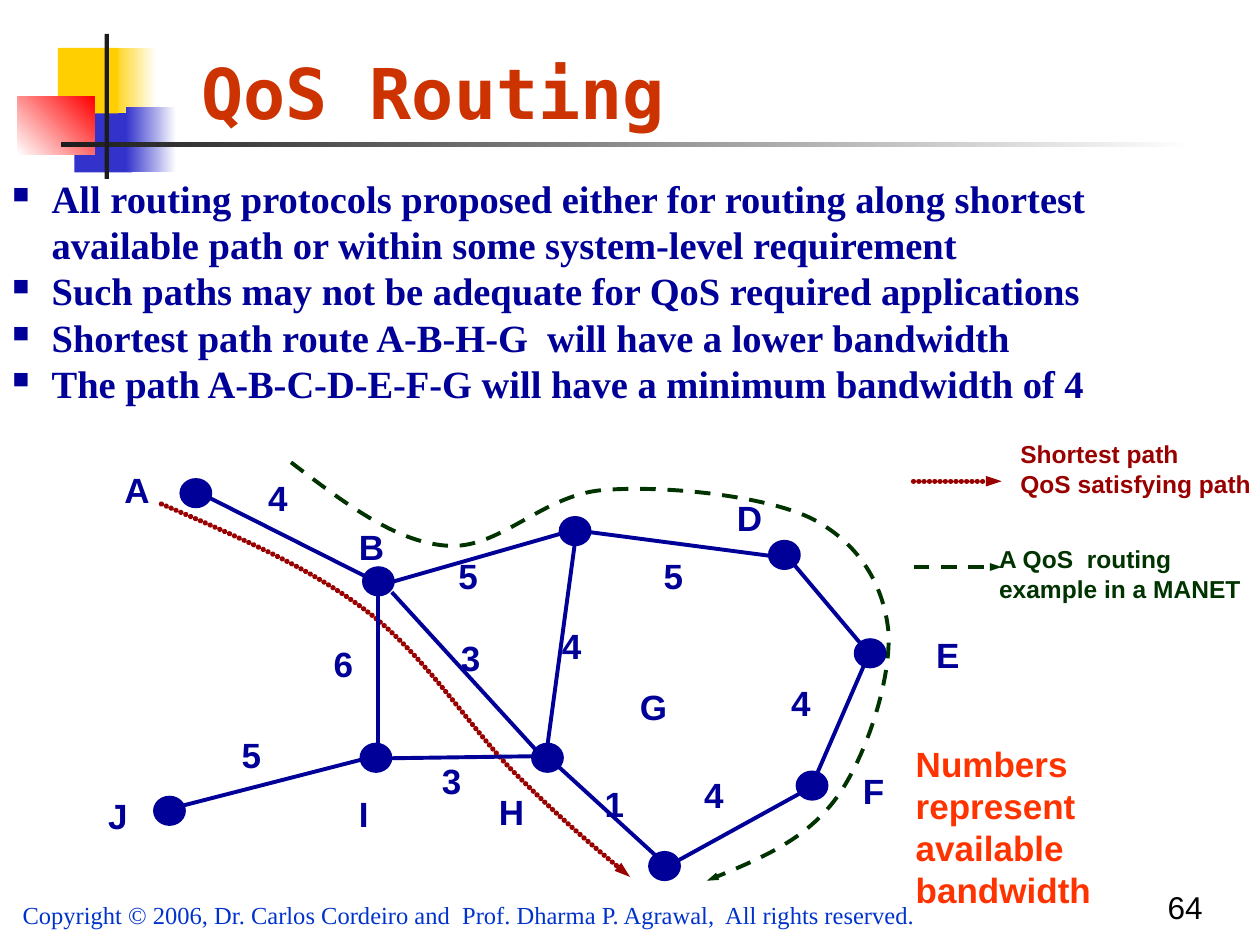
from dataclasses import dataclass
from typing import NamedTuple

from pptx import Presentation
from pptx.dml.color import RGBColor
from pptx.enum.dml import MSO_LINE
from pptx.enum.shapes import MSO_CONNECTOR, MSO_SHAPE
from pptx.oxml import parse_xml
from pptx.oxml.ns import nsdecls, qn
from pptx.oxml.xmlchemy import OxmlElement
from pptx.util import Pt

NAVY = RGBColor(0x00, 0x00, 0x99)
BLUE = RGBColor(0x33, 0x33, 0xCC)
FOOTER_BLUE = RGBColor(0x00, 0x33, 0xCC)
YELLOW = RGBColor(0xFF, 0xCF, 0x01)
RED = RGBColor(0xFF, 0x00, 0x00)
TITLE_RED = RGBColor(0xCC, 0x33, 0x00)
ORANGE = RGBColor(0xFF, 0x33, 0x00)
MAROON = RGBColor(0x99, 0x00, 0x00)
GREEN = RGBColor(0x00, 0x33, 0x00)
CHARCOAL = RGBColor(0x1C, 0x1C, 0x1C)
BLACK = RGBColor(0x00, 0x00, 0x00)
WHITE = RGBColor(0xFF, 0xFF, 0xFF)

Point = tuple[float, float]


class Box(NamedTuple):
    left: float
    top: float
    width: float
    height: float


@dataclass(frozen=True)
class Block:
    box: Box
    start: RGBColor
    end: RGBColor | None = None
    angle: float = 0


@dataclass(frozen=True)
class Caption:
    box: Box
    text: str
    size: float
    color: RGBColor
    font: str = "Arial"
    bold: bool = True


@dataclass(frozen=True)
class Route:
    color: RGBColor
    width: float
    dotted: bool
    curve: list[Point]
    legend_y: float


BLOCKS = [
    Block(Box(42.5, 61.2, 33.1, 37.4), BLUE),
    Block(Box(63.4, 27.4, 25.9, 37.4), YELLOW, WHITE),
    Block(Box(33.1, 27.4, 34.6, 37.4), YELLOW),
    Block(Box(72, 61.2, 28.8, 37.4), BLUE, WHITE),
    Block(Box(10.1, 55.4, 43.9, 33.1), WHITE, RED, 45),
    Block(Box(34.6, 81.4, 648, 2.5), CHARCOAL, WHITE),
    Block(Box(59.8, 19.4, 2.5, 82.8), CHARCOAL),
]
CAPTIONS = [
    Caption(Box(5.8, 510.5, 545.8, 24.5),
            "Copyright © 2006, Dr. Carlos Cordeiro and  Prof. Dharma P. Agrawal,  All rights reserved.",
            14, FOOTER_BLUE, "Times New Roman", False),
    Caption(Box(660.2, 504, 48.2, 28.8), "64", 18, BLACK, bold=False),
    Caption(Box(108, 25, 576, 86.6), "QoS Routing", 40, TITLE_RED, "DejaVu Sans Mono"),
    Caption(Box(563.8, 307.4, 156, 41), "A QoS  routing example in a MANET", 14, GREEN),
    Caption(Box(576, 247.5, 162, 33.8), "Shortest path\nQoS satisfying path", 14, MAROON),
    Caption(Box(516.2, 421, 174.2, 127.4), "Numbers represent available bandwidth", 20, ORANGE),
]
BULLETS = Caption(
    Box(0, 96.5, 660.2, 139.7),
    "All routing protocols proposed either for routing along shortest available path"
    " or within some system-level requirement\n"
    "Such paths may not be adequate for QoS required applications\n"
    "Shortest path route A-B-H-G  will have a lower bandwidth\n"
    "The path A-B-C-D-E-F-G will have a minimum bandwidth of 4",
    22, NAVY, "Times New Roman")
ROUTES = [
    Route(GREEN, 2.25, False, [
        (166.3, 264.2), (195.8, 286.6), (225.4, 309.6), (254.9, 311.8),
        (285.1, 314.6), (309.6, 283), (344.2, 280.1), (378.7, 277.2),
        (435.6, 283), (463, 295.9), (490.3, 309.6), (504.7, 333.4),
        (507.6, 360), (509.8, 386.6), (495.4, 432), (478.1, 455.8),
        (460.8, 479.5), (432, 491.8), (403.9, 503.3)], 324),
    Route(MAROON, 3, True, [
        (92.2, 288), (133.9, 306), (175.7, 323.3), (209.5, 349.2),
        (242.6, 374.4), (267.8, 414.7), (293, 440.6), (318.2, 465.8),
        (339.1, 483.8), (360, 501.1)], 275),
]
NODES = [(103.7, 274.3), (208, 324.7), (320.4, 296), (440, 309.6), (489, 365.8),
         (455.8, 441.4), (371.5, 487.4), (304.6, 425.5), (206.6, 425.5), (88.6, 455.8)]
EDGES = [
    ((108, 278.6), (219.6, 334.8)), ((216, 334.8), (321.8, 304.6)),
    ((324, 302.4), (455.8, 319.7)), ((450, 318.2), (500.4, 378)),
    ((497.5, 371.5), (464.4, 447.8)), ((465.8, 448.6), (382.3, 494.6)),
    ((312.5, 432), (379.4, 493.2)), ((329, 306.7), (312.5, 428.4)),
    ((314.6, 432), (216, 433.4)), ((216, 336.2), (216, 427.7)),
    ((217.4, 431.3), (100, 461.5)), ((223.9, 338.4), (307.4, 429.8)),
]
LABELS = [
    ("A", 64, 264), ("B", 198, 296.6), ("D", 414, 280), ("E", 527.8, 358.6),
    ("F", 486, 436.3), ("G", 358.6, 388), ("H", 278, 448), ("I", 198, 449.3),
    ("J", 54.7, 450.7), ("4", 146.2, 268.6), ("5", 254.9, 313.2), ("5", 372.2, 313.2),
    ("4", 445, 386), ("4", 395.3, 438.5), ("4", 314, 353.5), ("3", 256.3, 360),
    ("1", 338.4, 443.5), ("3", 245.5, 430.6), ("5", 131, 415.4), ("6", 183.6, 363.6),
]


def add_block(slide, block: Block, kind=MSO_SHAPE.RECTANGLE):
    shape = slide.shapes.add_shape(kind, *map(Pt, block.box))
    shape.shadow.inherit = False
    shape.line.fill.background()
    if block.end is None:
        shape.fill.solid()
        shape.fill.fore_color.rgb = block.start
    else:
        shape.fill.gradient()
        shape.fill.gradient_angle = block.angle
        for stop, color, position in zip(shape.fill.gradient_stops, (block.start, block.end), (0, 1)):
            stop.color.rgb = color
            stop.position = position
    return shape


def add_caption(slide, caption: Caption):
    shape = slide.shapes.add_textbox(*map(Pt, caption.box))
    text_frame = shape.text_frame
    text_frame.word_wrap = True
    text_frame.text = caption.text
    for paragraph in text_frame.paragraphs:
        for run in paragraph.runs:
            run.font.name = caption.font
            run.font.size = Pt(caption.size)
            run.font.bold = caption.bold
            run.font.color.rgb = caption.color
    return shape


def add_bullets(slide, caption: Caption) -> None:
    for paragraph in add_caption(slide, caption).text_frame.paragraphs:
        paragraph.line_spacing = Pt(26.4)
        properties = paragraph._p.get_or_add_pPr()
        properties.set("marL", str(Pt(22.5)))
        properties.set("indent", str(-Pt(22.5)))
        for markup in (f'<a:buClr {nsdecls("a")}><a:srgbClr val="{caption.color}"/></a:buClr>',
                       f'<a:buSzPct {nsdecls("a")} val="60000"/>',
                       f'<a:buChar {nsdecls("a")} char="■"/>'):
            properties.append(parse_xml(markup))


def add_line(slide, start: Point, end: Point, color: RGBColor = NAVY, width: float = 2.25):
    connector = slide.shapes.add_connector(MSO_CONNECTOR.STRAIGHT, *map(Pt, start + end))
    connector.line.color.rgb = color
    connector.line.width = Pt(width)
    connector._element.spPr.append(OxmlElement("a:effectLst"))
    return connector


def add_curve(slide, points: list[Point]):
    start, *rest = [(Pt(x), Pt(y)) for x, y in points]
    builder = slide.shapes.build_freeform(*start)
    builder.add_line_segments(rest, close=False)
    shape = builder.convert_to_shape()
    shape.shadow.inherit = False
    shape.fill.background()
    outline = next(shape._element.iter(qn("a:path")))
    segments = outline.findall(qn("a:lnTo"))
    for index in range(0, len(segments), 3):
        bezier = OxmlElement("a:cubicBezTo")
        for segment in segments[index:index + 3]:
            bezier.append(segment[0])
            outline.remove(segment)
        outline.append(bezier)
    return shape


def style_route(shape, route: Route) -> None:
    shape.line.color.rgb = route.color
    shape.line.width = Pt(route.width)
    line = shape.line._get_or_add_ln()
    if route.dotted:
        line.set("cap", "rnd")
        line.append(parse_xml(f'<a:custDash {nsdecls("a")}><a:ds d="1000" sp="100000"/></a:custDash>'))
    else:
        shape.line.dash_style = MSO_LINE.DASH
    line.append(parse_xml(f'<a:tailEnd {nsdecls("a")} type="triangle" w="sm" len="med"/>'))


def main() -> None:
    """Build the QoS routing slide."""
    presentation = Presentation()
    presentation.slide_width, presentation.slide_height = Pt(720), Pt(540)
    slide = presentation.slides.add_slide(presentation.slide_layouts[6])
    for block in BLOCKS:
        add_block(slide, block)
    for caption in CAPTIONS:
        add_caption(slide, caption)
    add_bullets(slide, BULLETS)
    for route in ROUTES:
        style_route(add_curve(slide, route.curve), route)
        legend = add_line(slide, (522, route.legend_y), (572.4, route.legend_y))
        style_route(legend, route)
    for left, top in NODES:
        node = add_block(slide, Block(Box(left, top, 16.5, 15), NAVY), MSO_SHAPE.OVAL)
        node.line.color.rgb = NAVY
        node.line.width = Pt(2.25)
    for start, end in EDGES:
        add_line(slide, start, end)
    for text, left, top in LABELS:
        add_caption(slide, Caption(Box(left, top, 44, 45), text, 20, NAVY))
    presentation.save("out.pptx")


if __name__ == "__main__":
    main()
